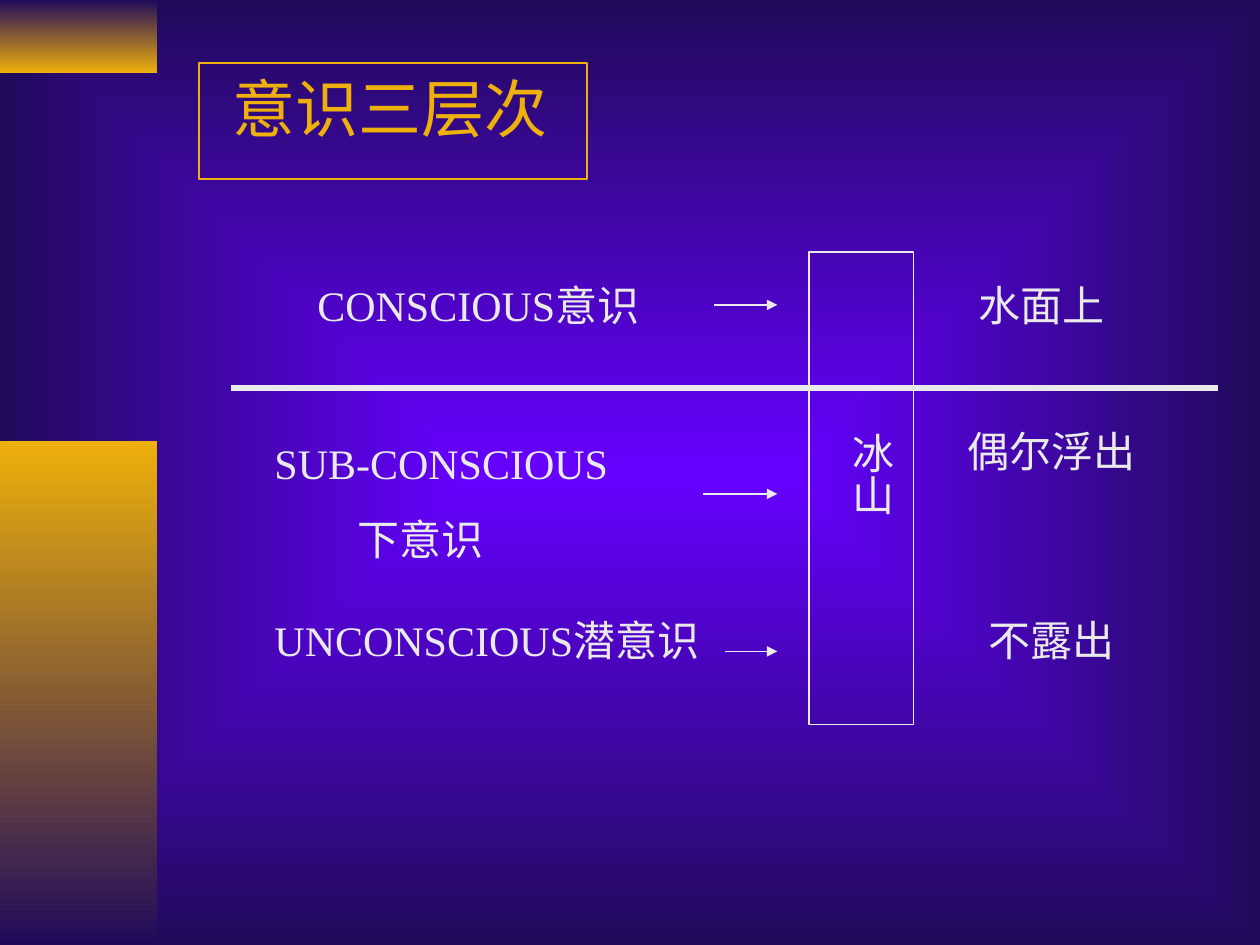
from lxml.etree import SubElement
from pptx import Presentation
from pptx.dml.color import RGBColor
from pptx.enum.shapes import MSO_CONNECTOR, MSO_SHAPE
from pptx.enum.text import PP_ALIGN
from pptx.oxml.ns import qn
from pptx.util import Inches, Pt

GOLD = RGBColor(0xEE, 0xB0, 0x0B)
NAVY = RGBColor(0x20, 0x0B, 0x5B)
VIOLET = RGBColor(0x66, 0x00, 0xFF)
PALE = RGBColor(0xEA, 0xEA, 0xEA)
FONT = "Times New Roman"

LABELS = [
    (2.42, 2.17, 2.92, 0.5, ["CONSCIOUS意识"]),
    (2.08, 3.42, 3.08, 1.11, ["SUB-CONSCIOUS", "下意识"]),
    (2.08, 4.83, 4.33, 0.5, ["UNCONSCIOUS潜意识"]),
    (7.67, 2.17, 1.5, 0.5, ["水面上"]),
    (7.58, 3.33, 2, 0.5, ["偶尔浮出"]),
    (7.75, 4.83, 1.42, 0.5, ["不露出"]),
]
ARROWS = [(5.67, 2.42), (5.58, 3.92), (5.75, 5.17)]
ARROW_END = 6.17


def set_gradient(fill, first, last):
    """Give a fill a two-colour gradient running from top to bottom."""
    fill.gradient()
    fill.gradient_angle = 270
    for stop, color, position in zip(fill.gradient_stops, (first, last), (0, 1)):
        stop.color.rgb = color
        stop.position = position


def paint_background(page):
    """Fill the page with a gradient spreading from its centre."""
    set_gradient(page.background.fill, VIOLET, NAVY)
    gradient = next(page.element.iter(qn("a:gradFill")))
    gradient.remove(gradient.find(qn("a:lin")))
    spread = SubElement(gradient, qn("a:path"), path="rect")
    SubElement(spread, qn("a:fillToRect"), l="50000", t="50000", r="50000", b="50000")


def add_rectangle(page, left, top, width, height):
    """Add a plain rectangle without shadow."""
    shape = page.shapes.add_shape(
        MSO_SHAPE.RECTANGLE, Inches(left), Inches(top), Inches(width), Inches(height))
    shape.shadow.inherit = False
    return shape


def add_band(page, top, height, first, last):
    """Add a gradient band at the left edge."""
    band = add_rectangle(page, 0, top, 1.25, height)
    set_gradient(band.fill, first, last)
    band.line.fill.background()


def add_frame(page, left, top, width, height, color):
    """Add an unfilled outline."""
    frame = add_rectangle(page, left, top, width, height)
    frame.fill.background()
    frame.line.color.rgb = color
    frame.line.width = Pt(1)


def add_text(page, left, top, width, height, lines, size=24, color=PALE):
    """Add a text box whose later lines are spaced and indented."""
    box = page.shapes.add_textbox(Inches(left), Inches(top), Inches(width), Inches(height))
    frame = box.text_frame
    frame.word_wrap = True
    frame.text = "\n".join(lines)
    for index, para in enumerate(frame.paragraphs):
        if index:
            para.space_before = Pt(15)
            properties = para._p.get_or_add_pPr()
            properties.set("marL", str(Inches(0.66)))
            properties.set("indent", "0")
        para.font.name = FONT
        para.font.size = Pt(size)
        para.font.color.rgb = color
    return box


def add_vertical_text(page, left, top, width, height, text):
    """Add a centred text box read from top to bottom."""
    frame = add_text(page, left, top, width, height, [text]).text_frame
    frame.margin_left = frame.margin_right = Inches(0.05)
    frame.margin_top = frame.margin_bottom = Inches(0.1)
    frame._txBody.bodyPr.set("vert", "eaVert")
    frame.paragraphs[0].alignment = PP_ALIGN.CENTER


def add_line(page, start, end, height, weight, arrow=False):
    """Add a horizontal line, with an arrowhead at its end if asked."""
    line = page.shapes.add_connector(
        MSO_CONNECTOR.STRAIGHT, Inches(start), Inches(height), Inches(end), Inches(height))
    line.line.color.rgb = PALE
    line.line.width = Pt(weight)
    if arrow:
        SubElement(line.line._get_or_add_ln(), qn("a:tailEnd"), type="triangle")
    SubElement(line._element.spPr, qn("a:effectLst"))


def main():
    """Build the slide and save it."""
    deck = Presentation()
    deck.slide_width, deck.slide_height = Inches(10), Inches(7.5)
    page = deck.slides.add_slide(deck.slide_layouts[6])
    paint_background(page)
    add_band(page, 0, 0.58, NAVY, GOLD)
    add_band(page, 3.5, 4, GOLD, NAVY)
    add_text(page, 1.75, 0.5, 2.92, 0.7, ["意识三层次"], 36, GOLD)
    add_frame(page, 1.58, 0.5, 3.08, 0.92, GOLD)
    for label in LABELS:
        add_text(page, *label)
    add_frame(page, 6.42, 2, 0.83, 3.75, PALE)
    add_line(page, 1.83, 9.67, 3.08, 3)
    add_vertical_text(page, 6.57, 3.33, 0.6, 1.25, "冰山")
    for start, height in ARROWS:
        add_line(page, start, ARROW_END, height, 1, arrow=True)
    deck.save("out.pptx")


if __name__ == "__main__":
    main()
